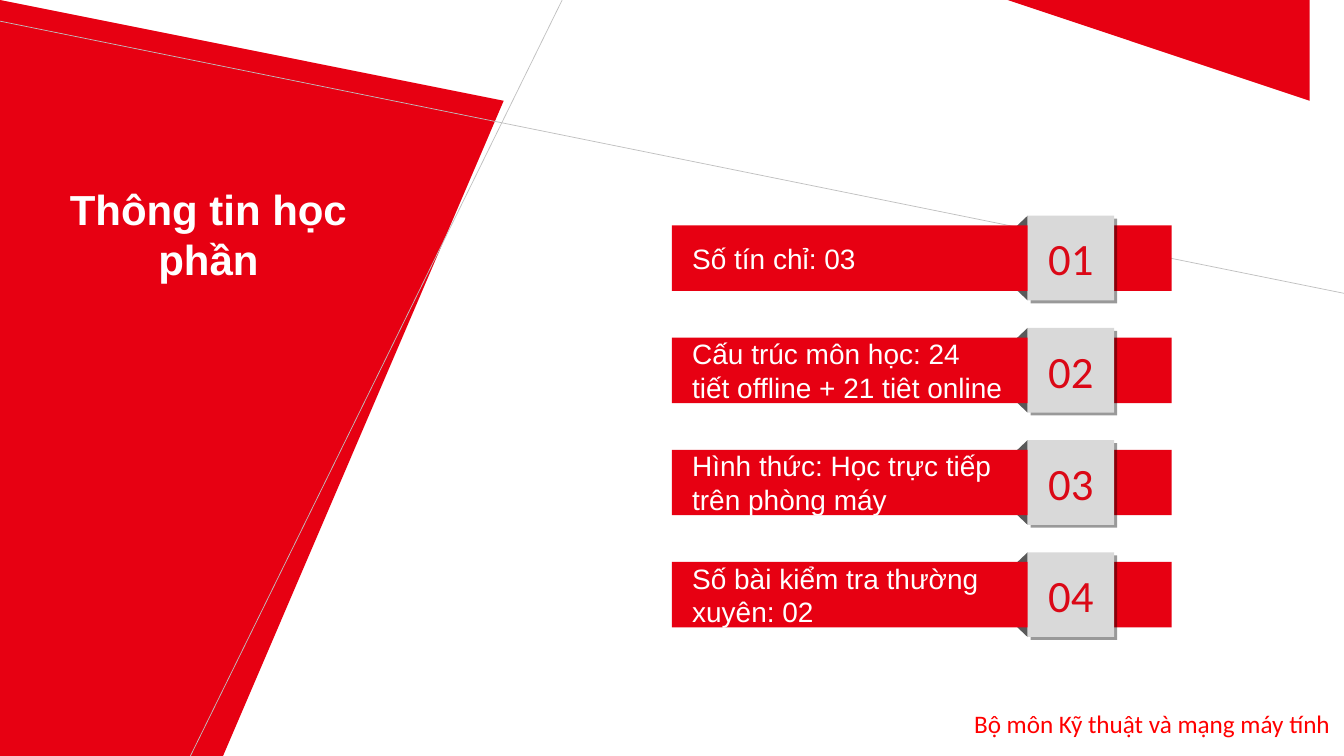
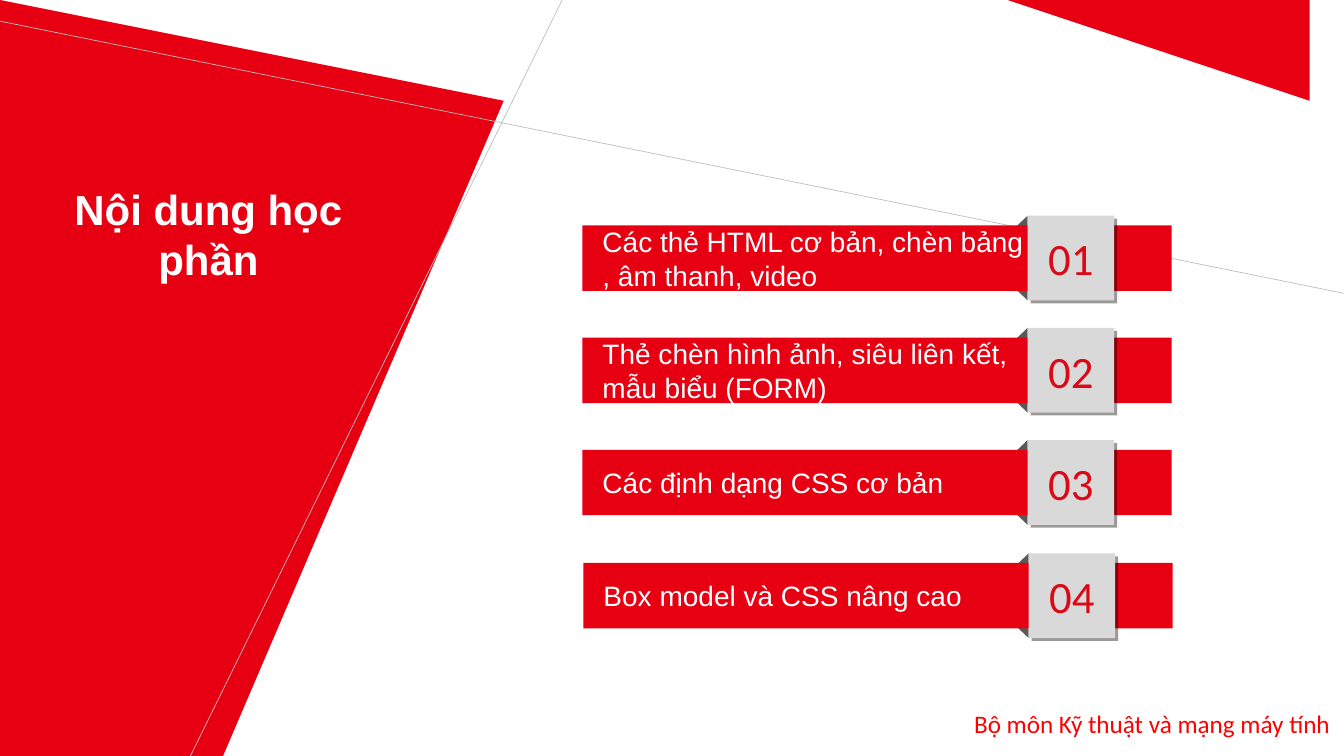
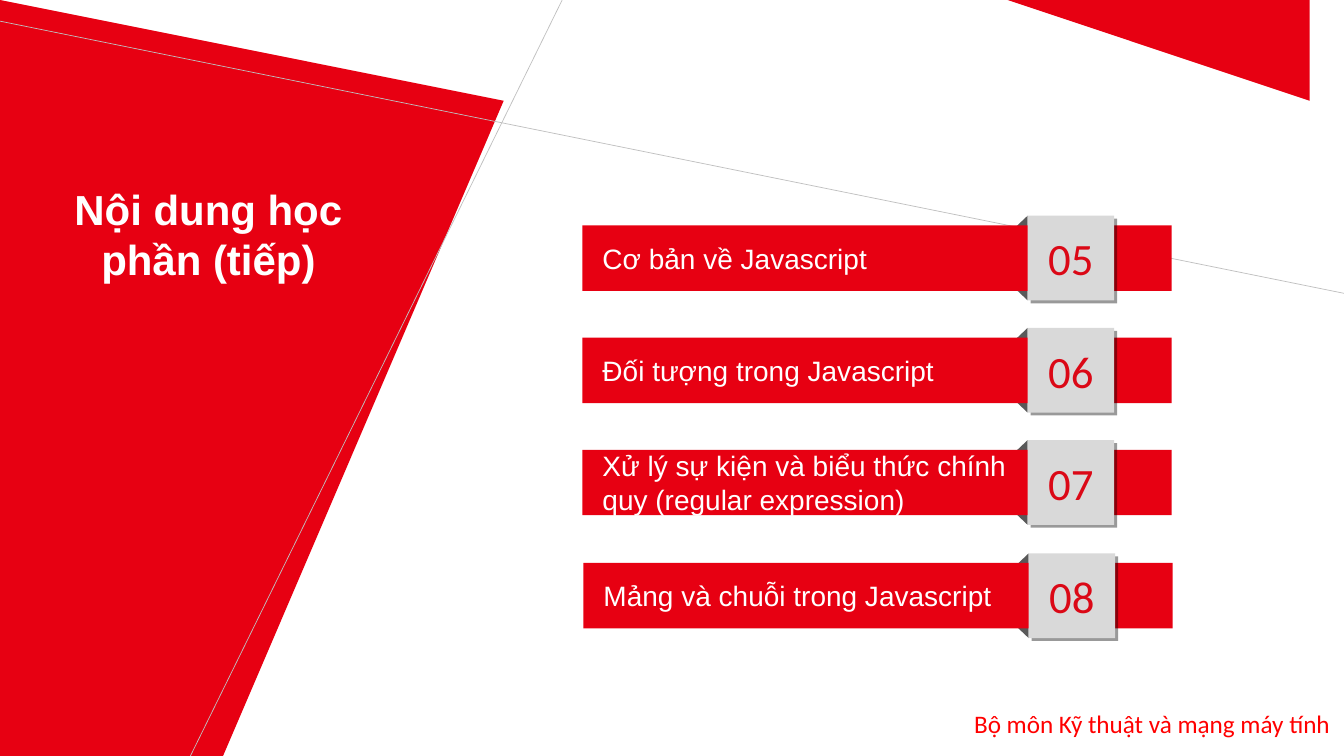
from pptx import Presentation
from pptx.dml.color import RGBColor
from pptx.enum.shapes import MSO_CONNECTOR, MSO_SHAPE
from pptx.enum.text import MSO_ANCHOR, MSO_AUTO_SIZE, PP_ALIGN
from pptx.oxml.ns import qn
from pptx.util import Inches, Pt
from lxml.etree import SubElement

WIDTH, HEIGHT = 13.34, 7.5
COLORS = {"red": "E70012", "line": "BFBFBF", "footer": "FF0000", "white": "FFFFFF",
          "fold": "595959", "badge": "D9D9D9", "number": "DB0816", "shadow": "000000"}

# Text styles
TITLE = {"name": "Arial", "size": Pt(30), "bold": True}
ITEM = {"name": "Arial", "size": Pt(20)}
NUMBER = {"name": "Calibri", "size": Pt(32)}
FOOTER = {"name": "Calibri", "size": Pt(18)}

# Row grid
TOP, LAST, ROWS = 2.14, 5.48, 4
PITCH = (LAST - TOP) / (ROWS - 1)
BADGE_X, BADGE_W, BADGE_H = 10.2, 0.86, 0.84
FOLD_W, FOLD_H = 0.19, 0.18
BAR_END, BAR_H = 11.63, 0.65

# Title, left edge of the bars, first number, shift of the last row, items
SLIDES = [
    ("Thông tin học phần", 6.67, 1, 0, [
        ["Số tín chỉ: 03"],
        ["Cấu trúc môn học: 24", "tiết offline + 21 tiêt online"],
        ["Hình thức: Học trực tiếp", "trên phòng máy"],
        ["Số bài kiểm tra thường", "xuyên: 02"]]),
    ("Nội dung học phần", 5.78, 1, 0.01, [
        ["Các thẻ HTML cơ bản, chèn bảng", ", âm thanh, video"],
        ["Thẻ chèn hình ảnh, siêu liên kết,", "mẫu biểu (FORM)"],
        ["Các định dạng CSS cơ bản"],
        ["Box model và CSS nâng cao"]]),
    ("Nội dung học phần (tiếp)", 5.78, 5, 0.01, [
        ["Cơ bản về Javascript"],
        ["Đối tượng trong Javascript"],
        ["Xử lý sự kiện và biểu thức chính", "quy (regular expression)"],
        ["Mảng và chuỗi trong Javascript"]]),
]


def rgb(key):
    return RGBColor.from_string(COLORS[key])


def paint(shape, color):
    shape.shadow.inherit = False
    shape.fill.solid()
    shape.fill.fore_color.rgb = rgb(color)
    shape.line.fill.background()


def write(shape, lines, style, color, align, frame):
    body = shape.text_frame
    for key, value in frame.items():
        setattr(body, key, value)
    body.text = "\n".join(lines)
    for para in body.paragraphs:
        para.alignment = align
        for key, value in style.items():
            setattr(para.font, key, value)
        para.font.color.rgb = rgb(color)


def add_label(slide, box, text, style, color, align, wrap):
    label = slide.shapes.add_textbox(*map(Inches, box))
    write(label, [text], style, color, align,
          {"word_wrap": wrap, "auto_size": MSO_AUTO_SIZE.SHAPE_TO_FIT_TEXT})
    return label


def add_block(slide, kind, box, color):
    block = slide.shapes.add_shape(kind, *map(Inches, box))
    paint(block, color)
    return block


def add_panel(slide, points):
    pen = slide.shapes.build_freeform(*points[0], scale=Inches(1))
    pen.add_line_segments(points[1:], close=True)
    panel = pen.convert_to_shape()
    paint(panel, "red")
    return panel


def add_rule(slide, ends):
    rule = slide.shapes.add_connector(MSO_CONNECTOR.STRAIGHT, *map(Inches, ends))
    rule.line.color.rgb = rgb("line")
    rule.line.width = Pt(0.5)
    SubElement(rule.element.spPr, qn("a:effectLst"))
    return rule


def add_fold(slide, left, top, flips):
    fold = add_block(slide, MSO_SHAPE.ISOSCELES_TRIANGLE,
                     (left, top, FOLD_W, FOLD_H), "fold")
    fold.adjustments[0] = 0
    for flip in flips:
        fold.element.spPr.find(qn("a:xfrm")).set(flip, "1")


def cast_shadow(shape):
    effects = shape.element.spPr.find(qn("a:effectLst"))
    shadow = SubElement(effects, qn("a:outerShdw"), blurRad="0",
                        dist=str(Pt(3)), dir="2700000", algn="tl", rotWithShape="0")
    color = SubElement(shadow, qn("a:srgbClr"), val=COLORS["shadow"])
    SubElement(color, qn("a:alpha"), val="40000")


def add_row(slide, left, top, shift, lines, number):
    badge_x = BADGE_X + shift
    # Folded corners behind the bar
    add_fold(slide, badge_x - FOLD_W, top + BADGE_H - FOLD_H, ("flipH", "flipV"))
    add_fold(slide, badge_x - FOLD_W, top, ("flipH",))
    # Bar with its text
    bar = add_block(slide, MSO_SHAPE.RECTANGLE,
                    (left + shift, top + (BADGE_H - BAR_H) / 2, BAR_END - left, BAR_H), "red")
    write(bar, lines, ITEM, "white", PP_ALIGN.LEFT,
          {"margin_left": Inches(0.2), "word_wrap": True,
           "vertical_anchor": MSO_ANCHOR.MIDDLE})
    # Number badge
    badge = add_block(slide, MSO_SHAPE.RECTANGLE, (badge_x, top, BADGE_W, BADGE_H), "badge")
    cast_shadow(badge)
    write(badge, [f"{number:02d}"], NUMBER, "number", PP_ALIGN.CENTER,
          {"margin_left": 0, "margin_right": 0, "margin_top": 0, "margin_bottom": 0,
           "word_wrap": True, "vertical_anchor": MSO_ANCHOR.MIDDLE})


def dress(layout, slide):
    """Draw the shared parts on a slide and move them to its layout."""
    parts = [
        add_panel(slide, [(0, 0.5), (4.51, 1.43), (1.52, HEIGHT), (0, HEIGHT)]),
        add_rule(slide, (1.89, HEIGHT, 5.58, 0)),
        add_rule(slide, (0, 0.21, WIDTH, 2.91)),
        add_panel(slide, [(9.83, 0), (WIDTH, 0), (WIDTH, 0.97), (9.71, 0.23)]),
        add_label(slide, (9.57, 6.98, 3.75, 0.4), "Bộ môn Kỹ thuật và mạng máy tính",
                  FOOTER, "footer", PP_ALIGN.LEFT, False),
    ]
    for part in parts:
        layout.shapes.element.append(part.element)


def main():
    deck = Presentation()
    deck.slide_width, deck.slide_height = Inches(WIDTH), Inches(HEIGHT)
    blank = deck.slide_layouts[6]
    for holder in list(blank.placeholders):
        holder.element.getparent().remove(holder.element)

    for index, (title, left, first, nudge, items) in enumerate(SLIDES):
        slide = deck.slides.add_slide(blank)
        if index == 0:
            dress(blank, slide)
        add_label(slide, (0.25, 1.77, 3.64, 1.1), title, TITLE, "white",
                  PP_ALIGN.CENTER, True)
        for row, lines in enumerate(items):
            shift = nudge if row == ROWS - 1 else 0
            add_row(slide, left, TOP + row * PITCH + shift, shift, lines, first + row)

    deck.save("out.pptx")


if __name__ == "__main__":
    main()
